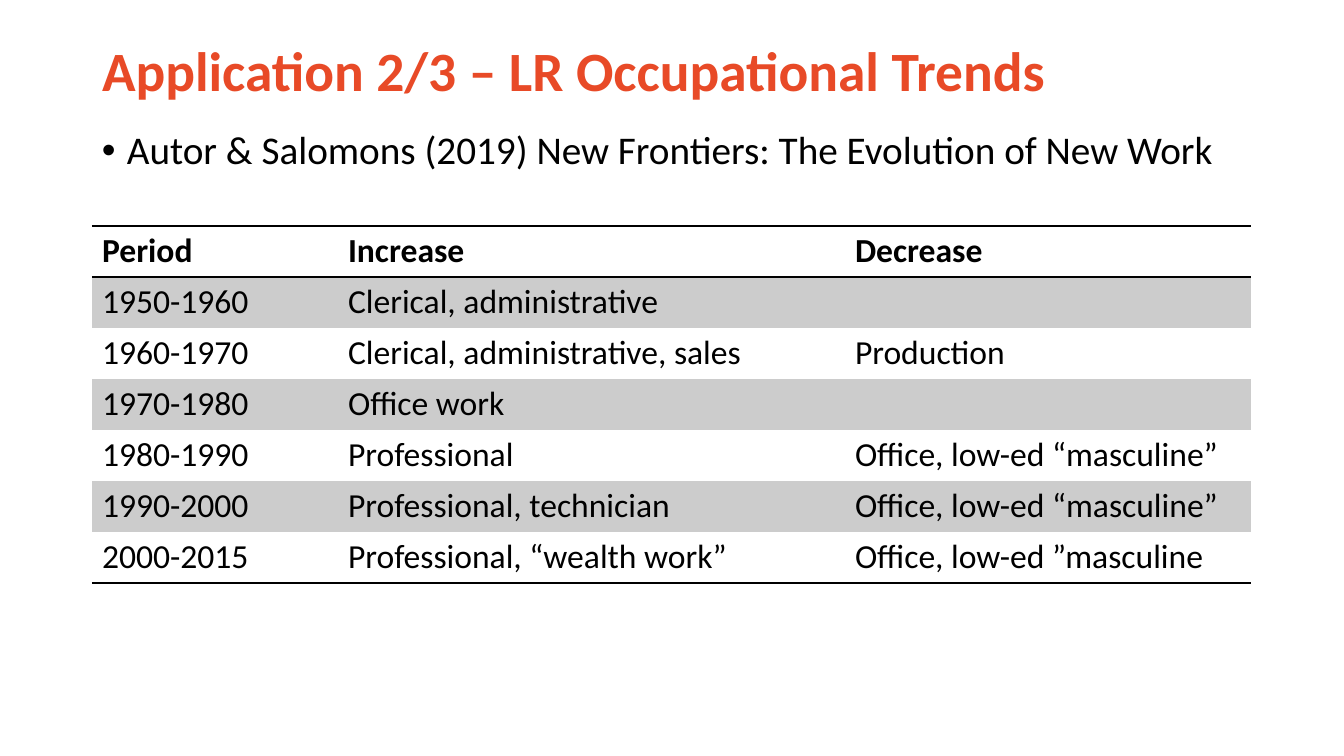
from lxml import etree
from pptx import Presentation
from pptx.dml.color import RGBColor
from pptx.enum.text import MSO_ANCHOR, MSO_AUTO_SIZE, PP_ALIGN
from pptx.oxml.ns import qn
from pptx.util import Pt

PX = 914400 / 100.8
LEFT_ALIGN, MIDDLE, NO_FIT = PP_ALIGN.LEFT, MSO_ANCHOR.MIDDLE, MSO_AUTO_SIZE.NONE
COLORS = {"title": "E84A27", "text": "000000", "rule": "000000",
          "band": "CCCCCC"}
NO_STYLE_NO_GRID = "{2D5ABB26-0587-4C30-8999-92F81FD0307C}"
LEFT, WIDTH = 92, 1159
TABLE_TOP, ROW_HEIGHT = 226, 51
COLUMN_WIDTHS = [246, 507, 406]
TRENDS = [
    ("Period", "Increase", "Decrease"),
    ("1950-1960", "Clerical, administrative", ""),
    ("1960-1970", "Clerical, administrative, sales", "Production"),
    ("1970-1980", "Office work", ""),
    ("1980-1990", "Professional", "Office, low-ed “masculine”"),
    ("1990-2000", "Professional, technician", "Office, low-ed “masculine”"),
    ("2000-2015", "Professional, “wealth work”", "Office, low-ed ”masculine"),
]


def emu(px):
    return round(px * PX)


def format_text(paragraph, size, color, bold=False):
    font_format = {"name": "Calibri", "size": Pt(size), "bold": bold}
    for attribute, value in font_format.items():
        setattr(paragraph.font, attribute, value)
    paragraph.font.color.rgb = RGBColor.from_string(COLORS[color])
    paragraph.alignment = LEFT_ALIGN


prs = Presentation()
prs.slide_width, prs.slide_height = emu(1344), emu(756)
slide = prs.slides.add_slide(prs.slide_layouts[5])

# Title
title = slide.shapes.title
title_place = {"left": LEFT, "top": 38, "width": WIDTH, "height": 72}
for attribute, value in title_place.items():
    setattr(title, attribute, emu(value))
title.text_frame.text = "Application 2/3 – LR Occupational Trends"
title.text_frame.auto_size = NO_FIT
title.text_frame.vertical_anchor = MIDDLE
heading = title.text_frame.paragraphs[0]
heading.line_spacing = 0.9
format_text(heading, 39.6, "title", bold=True)

# Bulleted reference
reference = slide.shapes.add_textbox(emu(LEFT), emu(126), emu(WIDTH), emu(60))
reference.text_frame.word_wrap = True
citation = reference.text_frame.paragraphs[0]
citation.text = "Autor & Salomons (2019) New Frontiers: The Evolution of New Work"
citation.line_spacing = 0.9
properties = citation._p.get_or_add_pPr()
properties.set("marL", str(emu(25)))
properties.set("indent", str(-emu(25)))
etree.SubElement(properties, qn("a:buFont"), typeface="Arial")
etree.SubElement(properties, qn("a:buChar"), char="•")
format_text(citation, 28, "text")

# Trends by period
table_frame = slide.shapes.add_table(
    len(TRENDS), len(COLUMN_WIDTHS), emu(LEFT), emu(TABLE_TOP),
    emu(WIDTH), emu(ROW_HEIGHT * len(TRENDS)))
table = table_frame.table
table.horz_banding = False
table._tbl.tblPr.find(qn("a:tableStyleId")).text = NO_STYLE_NO_GRID
for column, width in zip(table.columns, COLUMN_WIDTHS):
    column.width = emu(width)

rules = {0: ["a:lnT", "a:lnB"], len(TRENDS) - 1: ["a:lnB"]}
for row, texts in enumerate(TRENDS):
    table.rows[row].height = emu(ROW_HEIGHT)
    for column, text in enumerate(texts):
        cell = table.cell(row, column)
        cell.text = text
        format_text(cell.text_frame.paragraphs[0], 24, "text", bold=row == 0)
        cell_properties = cell._tc.get_or_add_tcPr()
        for edge in rules.get(row, []):
            rule = etree.SubElement(cell_properties, qn(edge), w=str(Pt(1)))
            rule_fill = etree.SubElement(rule, qn("a:solidFill"))
            etree.SubElement(rule_fill, qn("a:srgbClr"), val=COLORS["rule"])
        if row % 2:
            cell.fill.solid()
            cell.fill.fore_color.rgb = RGBColor.from_string(COLORS["band"])
        else:
            cell.fill.background()

prs.save("out.pptx")
